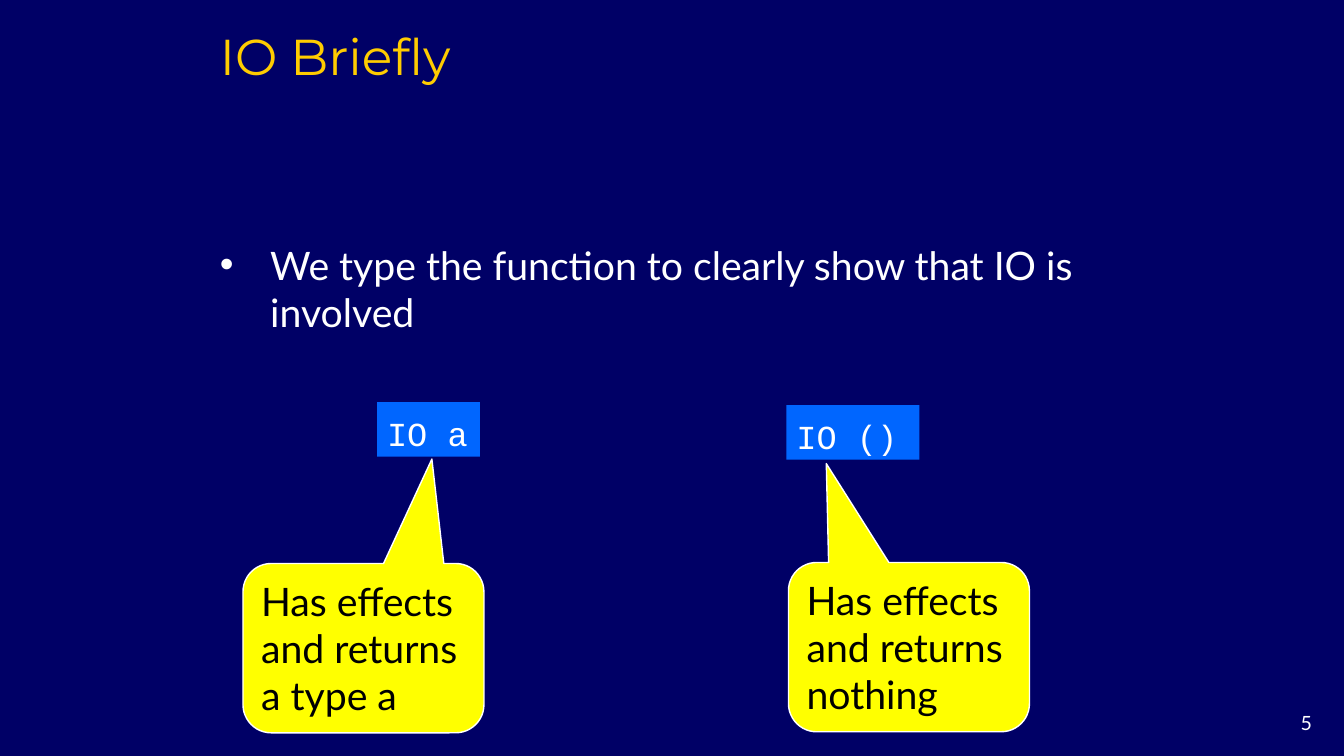
from pptx import Presentation
from pptx.dml.color import RGBColor
from pptx.enum.shapes import MSO_SHAPE
from pptx.enum.text import MSO_ANCHOR, MSO_AUTO_SIZE, PP_ALIGN
from pptx.oxml.ns import qn
from pptx.util import Inches, Pt
from lxml import etree

RECT, CALLOUT = MSO_SHAPE.RECTANGLE, MSO_SHAPE.ROUNDED_RECTANGULAR_CALLOUT
TOP, MIDDLE, BOTTOM = MSO_ANCHOR.TOP, MSO_ANCHOR.MIDDLE, MSO_ANCHOR.BOTTOM
LEFT, RIGHT = PP_ALIGN.LEFT, PP_ALIGN.RIGHT
FIXED = MSO_AUTO_SIZE.NONE

NAVY = RGBColor(0x00, 0x00, 0x66)
GOLD = RGBColor(0xFF, 0xCC, 0x00)
BLUE = RGBColor(0x00, 0x66, 0xFF)
YELLOW = RGBColor(0xFF, 0xFF, 0x00)
WHITE = RGBColor(0xFF, 0xFF, 0xFF)
BLACK = RGBColor(0x00, 0x00, 0x00)

HEAD, BODY, CODE = "Montserrat", "Lato", "Courier New"


def place(shape, box):
    shape.left, shape.top, shape.width, shape.height = map(Inches, box)


def write(shape, text, font, size, color, anchor=MIDDLE, align=LEFT):
    frame = shape.text_frame
    frame.word_wrap = True
    frame.auto_size = FIXED
    frame.vertical_anchor = anchor
    para = frame.paragraphs[0]
    para.alignment = align
    para.space_before = Pt(0)
    run = para.add_run()
    run.text = text
    run.font.name = font
    run.font.size = Pt(size)
    run.font.color.rgb = color
    return para


def add_title(slide, box, text):
    title = slide.shapes.title
    place(title, box)
    write(title, text, HEAD, 36, GOLD, BOTTOM)


def add_body(slide, box, text):
    body = slide.placeholders[1]
    place(body, box)
    para = write(body, text, BODY, 28, WHITE, TOP)
    # Hanging bullet
    props = para._p.get_or_add_pPr()
    props.set("marL", str(Inches(0.5)))
    props.set("indent", str(-Inches(0.5)))
    etree.SubElement(props, qn("a:buFont")).set("typeface", "Arial")
    etree.SubElement(props, qn("a:buChar")).set("char", "•")


def add_block(slide, kind, box, fill):
    block = slide.shapes.add_shape(kind, *map(Inches, box))
    block.shadow.inherit = False
    block.fill.solid()
    block.fill.fore_color.rgb = fill
    return block


def add_code(slide, box, text):
    code = add_block(slide, RECT, box, BLUE)
    code.line.fill.background()
    write(code, text, CODE, 24, WHITE).line_spacing = 1.2


def add_note(slide, box, tip, text):
    note = add_block(slide, CALLOUT, box, YELLOW)
    note.line.color.rgb = WHITE
    note.line.width = Pt(1)
    # Tip is given as a share of the box, from its centre
    note.adjustments[0], note.adjustments[1] = tip
    write(note, text, BODY, 28, BLACK)


def add_number(slide, box, text):
    number = slide.shapes.add_textbox(*map(Inches, box))
    write(number, text, BODY, 14, WHITE, TOP, RIGHT)


def add_slide(deck):
    slide = deck.slides.add_slide(deck.slide_layouts[1])
    slide.background.fill.solid()
    slide.background.fill.fore_color.rgb = NAVY

    add_number(slide, (12.22, 7, 0.89, 0.33), "5")
    add_title(slide, (2.08, 0.15, 8.5, 0.75), "IO Briefly")
    add_body(slide, (2.08, 2.34, 9.13, 1.1),
             "We type the function to clearly show that IO is involved")

    # Types, each with its callout
    add_code(slide, (3.74, 3.99, 1.02, 0.54), "IO a")
    add_code(slide, (7.8, 4.02, 1.32, 0.54), "IO ()")
    add_note(slide, (2.41, 5.59, 2.39, 1.68), (0.284, -1.117),
             "Has effects and returns a type a")
    add_note(slide, (7.82, 5.58, 2.39, 1.68), (-0.343, -1.084),
             "Has effects and returns nothing")


def main():
    deck = Presentation()
    deck.slide_width, deck.slide_height = Inches(13.33), Inches(7.5)
    add_slide(deck)
    deck.save("out.pptx")


if __name__ == "__main__":
    main()
